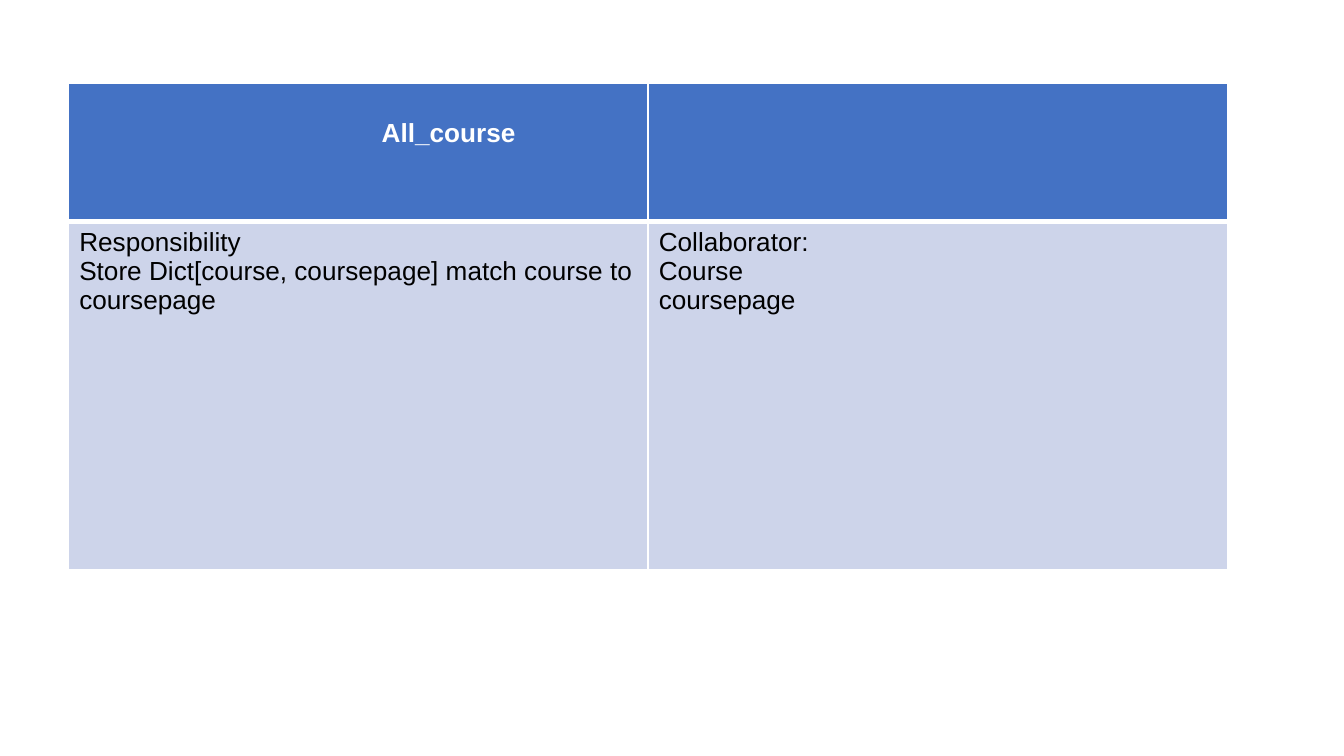
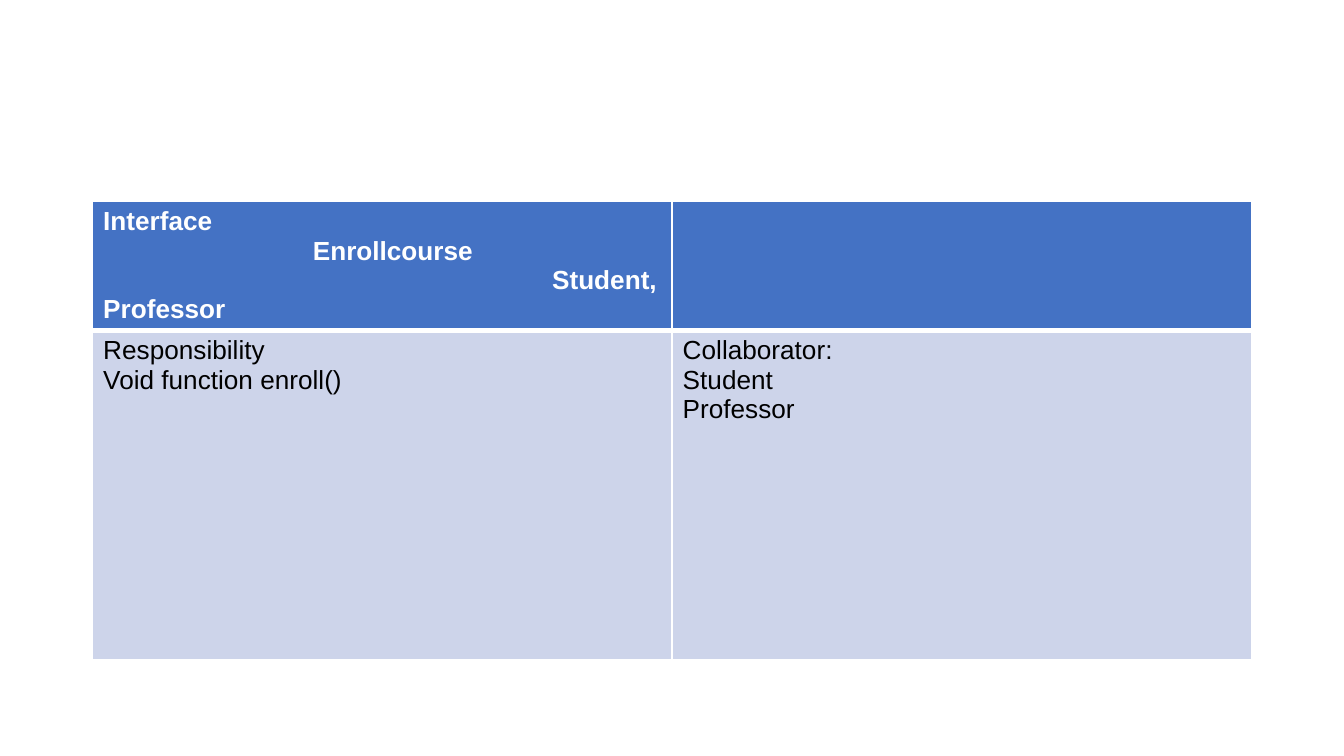
from dataclasses import dataclass

from lxml.etree import SubElement
from pptx import Presentation
from pptx.dml.color import RGBColor
from pptx.oxml.ns import qn
from pptx.util import Inches, Pt


@dataclass(frozen=True)
class Theme:
    """Colours, type and border widths shared by the cards."""
    header: str = "4472C4"
    body: str = "CDD4EA"
    line: str = "FFFFFF"
    header_text: str = "FFFFFF"
    body_text: str = "000000"
    font: str = "Arial"
    size: int = 14
    thin: int = 1
    thick: int = 3


THEME = Theme()
WIDTH = Inches(10)
HEIGHT = WIDTH * 9 // 16
MARGINS = {"margin_left": 0.08, "margin_top": 0.04,
           "margin_right": 0.08, "margin_bottom": 0.04}

CARDS = [
    {"box": (5.1, 11.05, 86.24, 64.36), "header_share": 28.45, "header_top": 0.26,
     "header": [("All_course", 2.25)],
     "body": [["Responsibility",
               "Store Dict[course, coursepage] match course to coursepage"],
              ["Collaborator:", "Course", "coursepage"]]},
    {"box": (6.88, 26.67, 86.24, 60.62), "header_share": 28.15, "header_top": 0.04,
     "header": [("Interface", 0), ("Enrollcourse", 1.56),
                ("Student, Professor", 3.34)],
     "body": [["Responsibility", "Void function enroll()"],
              ["Collaborator:", "Student", "Professor"]]},
]


def set_borders(cell, top, bottom):
    """Draw the four cell borders, thin at the sides."""
    tc_pr = cell._tc.get_or_add_tcPr()
    widths = {"a:lnL": THEME.thin, "a:lnR": THEME.thin, "a:lnT": top, "a:lnB": bottom}
    for tag, width in widths.items():
        ln = SubElement(tc_pr, qn(tag), w=str(Pt(width)))
        fill = SubElement(ln, qn("a:solidFill"))
        SubElement(fill, qn("a:srgbClr"), val=THEME.line)


def fill_cell(cell, lines, is_header, top_margin):
    """Style one cell and write its lines with first-line indents."""
    if is_header:
        set_borders(cell, THEME.thin, THEME.thick)
    else:
        set_borders(cell, THEME.thick, THEME.thin)
    cell.fill.solid()
    cell.fill.fore_color.rgb = RGBColor.from_string(
        THEME.header if is_header else THEME.body)
    for name, value in (MARGINS | {"margin_top": top_margin}).items():
        setattr(cell, name, Inches(value))
    tf = cell.text_frame
    color = THEME.header_text if is_header else THEME.body_text
    fmt = {"name": THEME.font, "size": Pt(THEME.size), "bold": is_header}
    for i, (text, indent) in enumerate(lines):
        p = tf.add_paragraph() if i else tf.paragraphs[0]
        if indent:
            p._p.get_or_add_pPr().set("indent", str(Inches(indent)))
        r = p.add_run()
        r.text = text
        for name, value in fmt.items():
            setattr(r.font, name, value)
        r.font.color.rgb = RGBColor.from_string(color)


def add_card(s, card):
    """Place a two-column class card in its box, given in percent of the slide."""
    left, top, width, height = (
        round(share / 100 * side)
        for share, side in zip(card["box"], (WIDTH, HEIGHT) * 2))
    table = s.shapes.add_table(2, 2, left, top, width, height).table
    share = card["header_share"]
    for row, part in zip(table.rows, (share, 100 - share)):
        row.height = round(height * part / 100)
    header = [card["header"], []]
    body = [[(text, 0) for text in lines] for lines in card["body"]]
    for i, row in enumerate((header, body)):
        for j, lines in enumerate(row):
            margin = MARGINS["margin_top"] if i else card["header_top"]
            fill_cell(table.cell(i, j), lines, i == 0, margin)


def main():
    """Build the class cards and save the deck."""
    prs = Presentation()
    prs.slide_width, prs.slide_height = WIDTH, HEIGHT
    for card in CARDS:
        add_card(prs.slides.add_slide(prs.slide_layouts[6]), card)
    prs.save("out.pptx")


if __name__ == "__main__":
    main()
